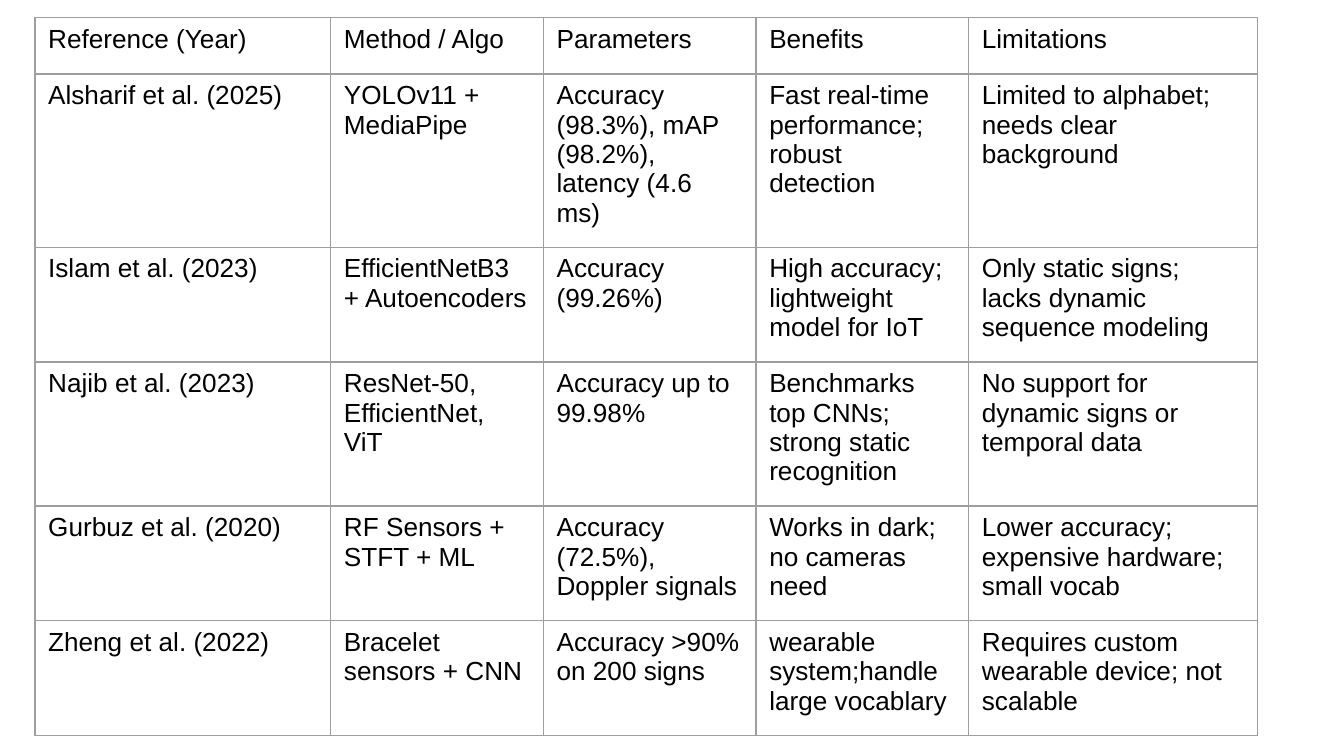
import pptx
import pptx.util
import pptx.dml.color
import pptx.enum.text
import pptx.oxml
import pptx.oxml.ns
from lxml import etree

Cm = pptx.util.Cm
FONT = "Arial"
INK = "000000"
RULE = "9E9E9E"

# Column widths, and the number of text lines that sets each row height, in cm
COLS = [5.59, 4.02, 4.02, 4.02, 5.46]
LINES = [1, 5, 3, 4, 3, 3]
LINE, PAD = 0.55, 0.52

ROWS = [
    ["Reference (Year)", "Method / Algo", "Parameters", "Benefits",
     "Limitations"],
    ["Alsharif et al. (2025)", "YOLOv11 + MediaPipe",
     "Accuracy (98.3%), mAP (98.2%), latency (4.6 ms)",
     "Fast real-time performance; robust detection",
     "Limited to alphabet; needs clear background"],
    ["Islam et al. (2023)", "EfficientNetB3 + Autoencoders",
     "Accuracy (99.26%)", "High accuracy; lightweight model for IoT",
     "Only static signs; lacks dynamic sequence modeling"],
    ["Najib et al. (2023)", "ResNet-50, EfficientNet, ViT",
     "Accuracy up to 99.98%",
     "Benchmarks top CNNs; strong static recognition",
     "No support for dynamic signs or temporal data"],
    ["Gurbuz et al. (2020)", "RF Sensors + STFT + ML",
     "Accuracy (72.5%), Doppler signals", "Works in dark; no cameras need",
     "Lower accuracy; expensive hardware; small vocab"],
    ["Zheng et al. (2022)", "Bracelet sensors + CNN",
     "Accuracy >90% on 200 signs", "wearable system;handle large vocablary",
     "Requires custom wearable device; not scalable"],
]


def color(code):
    return pptx.dml.color.RGBColor.from_string(code)


def frame(cell):
    """Draw a thin rule on all four sides of a cell."""
    props = cell._tc.get_or_add_tcPr()
    qn = pptx.oxml.ns.qn
    for i, side in enumerate(("lnL", "lnR", "lnT", "lnB")):
        line = etree.Element(qn("a:" + side), w=str(pptx.util.Pt(0.75)))
        fill = etree.SubElement(line, qn("a:solidFill"))
        etree.SubElement(fill, qn("a:srgbClr"), val=RULE)
        # Rules must come before the fill
        props.insert(i, line)


def write(cell, text):
    """Set the text, margins, fill and rules of a cell."""
    cell.margin_left = cell.margin_right = Cm(0.25)
    cell.margin_top = cell.margin_bottom = Cm(0.13)
    cell.vertical_anchor = pptx.enum.text.MSO_ANCHOR.TOP
    cell.fill.background()
    run = cell.text_frame.paragraphs[0].add_run()
    run.text = text
    run.font.name = FONT
    run.font.size = pptx.util.Pt(14)
    run.font.bold = False
    run.font.color.rgb = color(INK)
    frame(cell)


def review(slide, left, top, width, height):
    """Place the literature table in the given box."""
    grid = slide.shapes.add_table(
        len(ROWS), len(COLS), Cm(left), Cm(top), Cm(width), Cm(height)).table
    grid.first_row = grid.horz_banding = False
    for col, part in zip(grid.columns, COLS):
        col.width = Cm(width * part / sum(COLS))
    total = sum(LINE * n + PAD for n in LINES)
    for row, n, texts in zip(grid.rows, LINES, ROWS):
        row.height = Cm(height * (LINE * n + PAD) / total)
        for cell, text in zip(row.cells, texts):
            write(cell, text)


def main():
    deck = pptx.Presentation()
    deck.slide_width, deck.slide_height = Cm(25.4), Cm(14.29)
    slide = deck.slides.add_slide(deck.slide_layouts[6])
    review(slide, 0.66, 0.33, 23.11, 13.58)
    deck.save("out.pptx")


if __name__ == "__main__":
    main()
